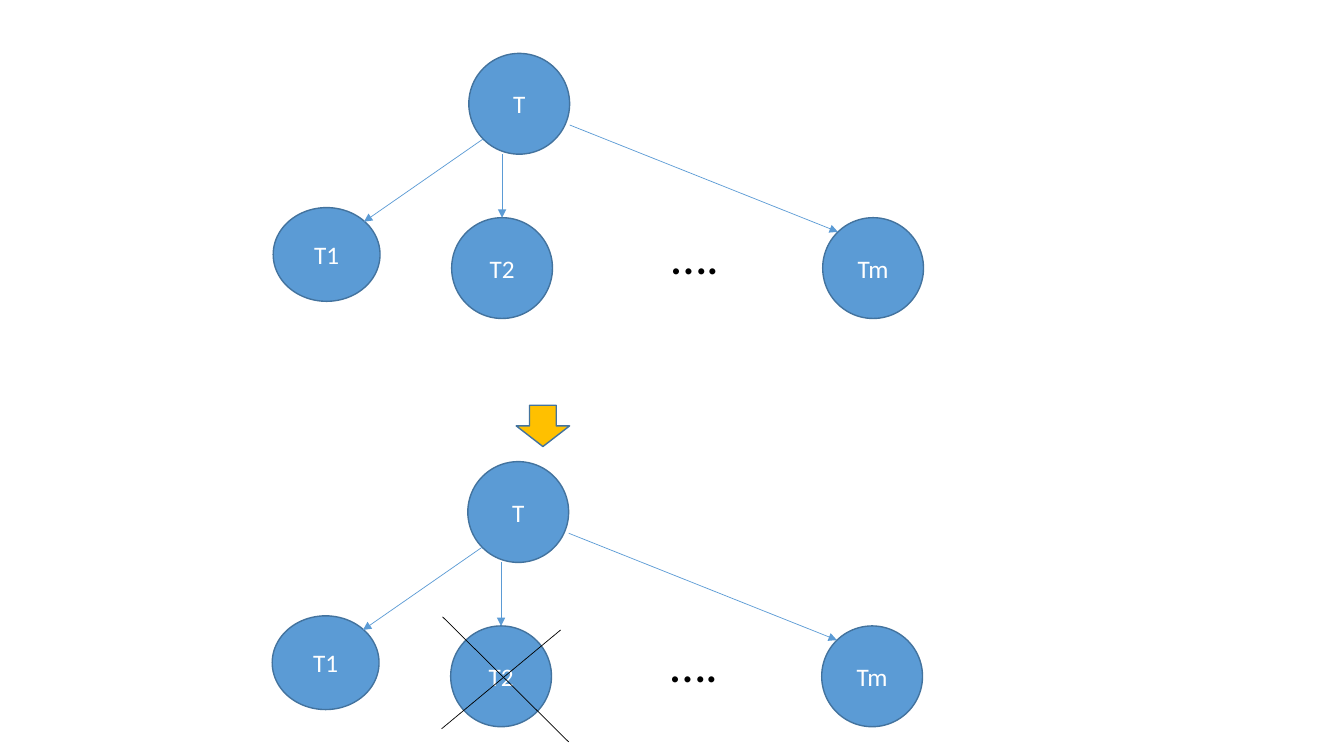
from typing import Any, NamedTuple

from lxml.etree import SubElement
from pptx import Presentation
from pptx.dml.color import RGBColor
from pptx.enum.shapes import MSO_CONNECTOR as Connector, MSO_SHAPE as Preset
from pptx.enum.text import MSO_ANCHOR as Anchor, MSO_AUTO_SIZE as AutoSize, PP_ALIGN as Align
from pptx.oxml.ns import qn
from pptx.util import Inches, Pt

BLUE, OUTLINE, GOLD = "5B9BD5", "43739E", "FFC000"
WHITE, BLACK = "FFFFFF", "000000"


class Node(NamedTuple):
    label: str
    left: float
    top: float
    width: float = 1
    height: float = 1


class Line(NamedTuple):
    x1: float
    y1: float
    x2: float
    y2: float


NODES = [
    Node("T", 4.65, 0.53),
    Node("T2", 4.48, 2.16),
    Node("T1", 2.71, 2.06, 1.06, 0.93),
    Node("Tm", 8.16, 2.16),
]
DOTS = Node("….", 6.56, 2.17, 0.87, 0.71)
BRANCHES = [
    Line(4.79, 1.38, 3.61, 2.2),
    Line(4.98, 1.53, 4.98, 2.16),
    Line(5.65, 1.24, 8.31, 2.3),
]
TREE_OFFSETS = [(0, 0), (-0.01, 4.05)]
STEP_ARROW = Node("", 5.12, 4.02, 0.53, 0.41)
CROSS_OUT = [Line(4.39, 6.12, 5.64, 7.36), Line(5.56, 6.25, 4.38, 7.23)]


def color(value: str) -> RGBColor:
    return RGBColor.from_string(value)


def apply(target: Any, formats: dict[str, Any]) -> None:
    """Set each named format value on the target."""
    for name, value in formats.items():
        setattr(target, name, value)


def write(frame: Any, text: str, size: int, ink: str, align: Align) -> None:
    paragraph = frame.paragraphs[0]
    paragraph.alignment = align
    run = paragraph.add_run()
    run.text = text
    apply(run.font, {"size": Pt(size), "name": "Calibri"})
    run.font.color.rgb = color(ink)


def bounds(node: Node, dx: float, dy: float) -> list[int]:
    return [Inches(v) for v in (node.left + dx, node.top + dy, node.width, node.height)]


def draw_shape(shapes: Any, preset: Preset, node: Node, fill: str,
               dx: float = 0, dy: float = 0) -> None:
    shape = shapes.add_shape(preset, *bounds(node, dx, dy))
    shape.shadow.inherit = False
    shape.fill.solid()
    shape.fill.fore_color.rgb = color(fill)
    shape.line.color.rgb = color(OUTLINE)
    shape.line.width = Pt(1)
    if node.label:
        apply(shape.text_frame, {"word_wrap": True, "vertical_anchor": Anchor.MIDDLE})
        write(shape.text_frame, node.label, 18, WHITE, Align.CENTER)


def draw_dots(shapes: Any, dx: float, dy: float) -> None:
    frame = shapes.add_textbox(*bounds(DOTS, dx, dy)).text_frame
    apply(frame, {"word_wrap": True, "auto_size": AutoSize.SHAPE_TO_FIT_TEXT})
    write(frame, DOTS.label, 36, BLACK, Align.LEFT)


def draw_line(shapes: Any, line: Line, ink: str, arrow: bool = False,
              dx: float = 0, dy: float = 0) -> None:
    ends = (line.x1 + dx, line.y1 + dy, line.x2 + dx, line.y2 + dy)
    connector = shapes.add_connector(Connector.STRAIGHT, *map(Inches, ends))
    connector.line.color.rgb = color(ink)
    connector.line.width = Pt(0.5)
    properties = connector._element.spPr
    if arrow:
        SubElement(properties.find(qn("a:ln")), qn("a:tailEnd"), type="triangle")
    SubElement(properties, qn("a:effectLst"))


def draw_tree(shapes: Any, dx: float, dy: float) -> None:
    for node in NODES:
        draw_shape(shapes, Preset.OVAL, node, BLUE, dx, dy)
    draw_dots(shapes, dx, dy)
    for branch in BRANCHES:
        draw_line(shapes, branch, BLUE, True, dx, dy)


def main() -> None:
    deck = Presentation()
    apply(deck, {"slide_width": Inches(13.33), "slide_height": Inches(7.5)})
    shapes = deck.slides.add_slide(deck.slide_layouts[6]).shapes
    for dx, dy in TREE_OFFSETS:
        draw_tree(shapes, dx, dy)
    draw_shape(shapes, Preset.DOWN_ARROW, STEP_ARROW, GOLD)
    for stroke in CROSS_OUT:
        draw_line(shapes, stroke, BLACK)
    deck.save("out.pptx")


if __name__ == "__main__":
    main()
